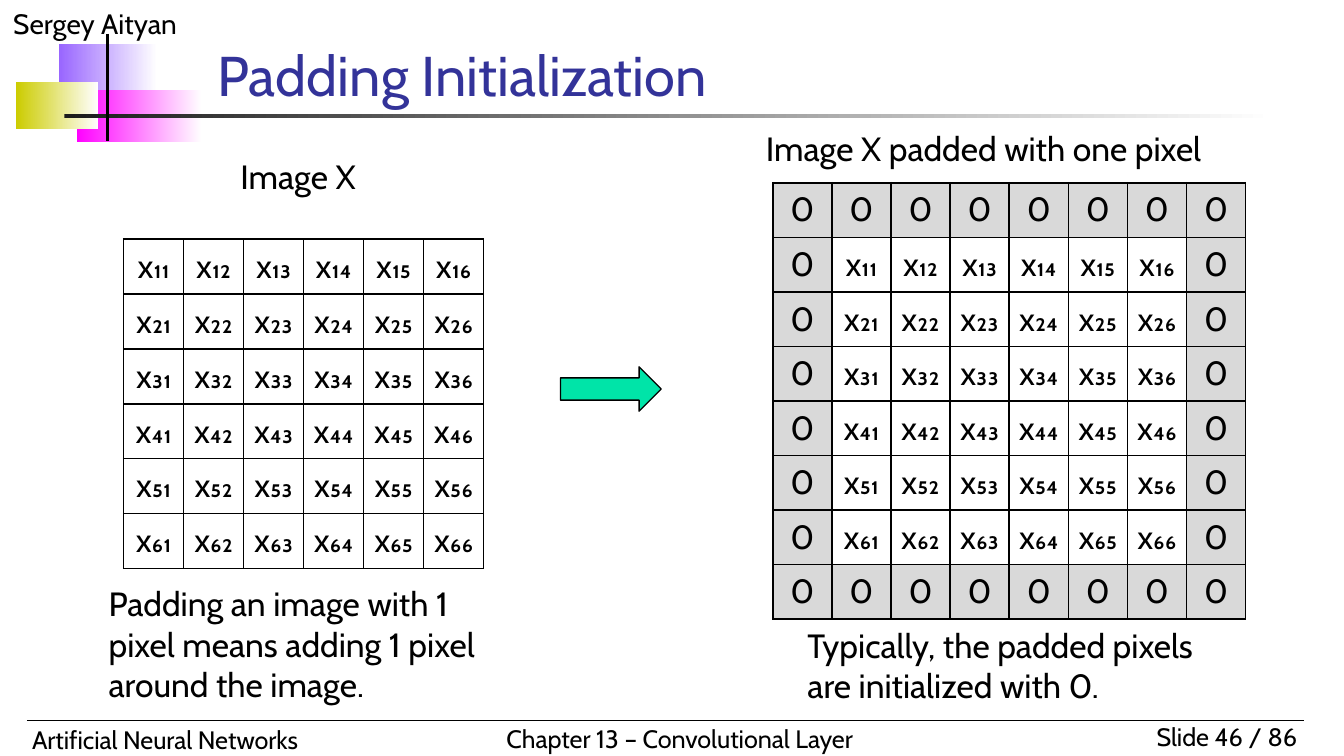
"""Build the slide that compares an image with its zero-padded version."""
import dataclasses

import pptx
import pptx.dml.color
import pptx.enum.shapes
import pptx.enum.text
import pptx.oxml
import pptx.oxml.ns
import pptx.util

Inches = pptx.util.Inches
Pt = pptx.util.Pt
ALIGN = pptx.enum.text.PP_ALIGN
SHAPE = pptx.enum.shapes.MSO_SHAPE
FONT = "Cabin"
BLACK = "000000"
PAD_FILL = "D9D9D9"
SUBSCRIPTS = "₁₂₃₄₅₆"


@dataclasses.dataclass
class Band:
    left: float
    top: float
    width: float
    height: float
    color: str


@dataclasses.dataclass
class Label:
    left: float
    top: float
    width: float
    height: float
    text: str
    size: float = 18
    align: ALIGN = ALIGN.LEFT
    wrap: bool = True


@dataclasses.dataclass
class Grid:
    left: float
    top: float
    width: float
    height: float
    rows: list


BANDS = [
    Band(0.44, 0.33, 0.73, 0.39, "9966FF"),
    Band(0.57, 0.67, 0.93, 0.39, "FF00FF"),
    Band(0.12, 0.61, 0.61, 0.35, "CCCC00"),
    Band(0.48, 0.85, 9, 0.03, "1C1C1C"),
]
MASTER_LABELS = [
    Label(0, 0, 2.5, 0.35, "Sergey Aityan", 15),
    Label(8.25, 5.32, 1.5, 0.33, "Slide 46 / 86", 13.5, ALIGN.RIGHT),
    Label(0.14, 5.34, 3.7, 0.33, "Artificial Neural Networks", 13.5),
    Label(3.67, 5.33, 2.99, 0.33, "Chapter 13 – Convolutional Layer", 13.5, wrap=False),
]
BODY_LABELS = [
    Label(1.69, 1.11, 1.25, 0.4, "Image X"),
    Label(5.6, 0.9, 3.83, 0.4, "Image X padded with one pixel"),
    Label(0.71, 4.29, 3.2, 1.01,
          "Padding an image with 1 pixel means adding 1 pixel around the image."),
    Label(5.91, 4.6, 3.2, 0.71, "Typically, the padded pixels are initialized with 0."),
]


def rgb(value: str) -> pptx.dml.color.RGBColor:
    """Turn a hex string into a colour."""
    return pptx.dml.color.RGBColor.from_string(value)


def write(tf, text: str, size: float = 18, color: str = BLACK, align=ALIGN.LEFT) -> None:
    """Put one formatted paragraph in a text frame."""
    p = tf.paragraphs[0]
    p.alignment = align
    r = p.add_run()
    r.text = text
    r.font.name = FONT
    r.font.size = Pt(size)
    r.font.color.rgb = rgb(color)


def add_band(s, band: Band) -> None:
    """Draw a rectangle that fades to white on the right."""
    sp = s.shapes.add_shape(SHAPE.RECTANGLE, Inches(band.left), Inches(band.top),
                            Inches(band.width), Inches(band.height))
    sp.shadow.inherit = False
    sp.line.fill.background()
    sp.fill.gradient()
    sp.fill.gradient_angle = 0
    for stop, color, position in zip(sp.fill.gradient_stops, (band.color, "FFFFFF"), (0, 1)):
        stop.color.rgb = rgb(color)
        stop.position = position


def add_label(s, label: Label) -> None:
    """Draw a text box."""
    sp = s.shapes.add_textbox(Inches(label.left), Inches(label.top),
                              Inches(label.width), Inches(label.height))
    sp.text_frame.word_wrap = label.wrap
    write(sp.text_frame, label.text, label.size, align=label.align)


def add_line(s, x1: float, y1: float, x2: float, y2: float, width: float) -> None:
    """Draw a straight black line."""
    sp = s.shapes.add_connector(pptx.enum.shapes.MSO_CONNECTOR.STRAIGHT,
                                Inches(x1), Inches(y1), Inches(x2), Inches(y2))
    sp.line.color.rgb = rgb(BLACK)
    sp.line.width = Pt(width)
    sp._element.spPr.append(pptx.oxml.parse_xml(
        f'<a:effectLst {pptx.oxml.ns.nsdecls("a")}/>'))


def add_borders(cell) -> None:
    """Give a cell a thin black line on each side."""
    tcPr = cell._tc.get_or_add_tcPr()
    for side in "LRTB":
        tcPr.append(pptx.oxml.parse_xml(
            f'<a:ln{side} {pptx.oxml.ns.nsdecls("a")} w="{Pt(1)}"><a:solidFill>'
            f'<a:srgbClr val="{BLACK}"/></a:solidFill></a:ln{side}>'))


def add_grid(s, grid: Grid) -> None:
    """Draw a square pixel table with its padding cells shaded."""
    n = len(grid.rows)
    table = s.shapes.add_table(n, n, Inches(grid.left), Inches(grid.top),
                               Inches(grid.width), Inches(grid.height)).table
    table.first_row = table.horz_banding = False
    for i, texts in enumerate(grid.rows):
        for j, text in enumerate(texts):
            cell = table.cell(i, j)
            add_borders(cell)
            if text == "0":
                cell.fill.solid()
                cell.fill.fore_color.rgb = rgb(PAD_FILL)
            else:
                cell.fill.background()
                cell.margin_left = cell.margin_right = 0
            write(cell.text_frame, text, align=ALIGN.CENTER)


def main() -> None:
    """Build and save the slide."""
    prs = pptx.Presentation()
    prs.slide_width = Inches(10)
    prs.slide_height = prs.slide_width * 9 // 16
    s = prs.slides.add_slide(prs.slide_layouts[5])

    for band in BANDS:
        add_band(s, band)
    for label in MASTER_LABELS:
        add_label(s, label)
    add_line(s, 0.2, 5.36, 9.7, 5.36, 0.75)
    add_line(s, 0.8, 0.25, 0.8, 1.05, 2)

    title = s.shapes.title
    title.left, title.top = Inches(1.52), Inches(0.31)
    title.width, title.height = Inches(7.35), Inches(0.54)
    tf = title.text_frame
    tf.auto_size = pptx.enum.text.MSO_AUTO_SIZE.NONE
    tf.vertical_anchor = pptx.enum.text.MSO_ANCHOR.BOTTOM
    write(tf, "Padding Initialization", 30, "333399")

    pixels = [[f"x{row}{col}" for col in SUBSCRIPTS] for row in SUBSCRIPTS]
    zeros = ["0"] * (len(pixels) + 2)
    padded = [zeros, *(["0", *row, "0"] for row in pixels), zeros]
    add_grid(s, Grid(5.75, 1.36, 3.52, 3.25, padded))
    add_grid(s, Grid(0.92, 1.78, 2.68, 2.45, pixels))

    for label in BODY_LABELS:
        add_label(s, label)
    arrow = s.shapes.add_shape(SHAPE.RIGHT_ARROW, Inches(4.17), Inches(2.73),
                               Inches(0.75), Inches(0.33))
    arrow.shadow.inherit = False
    arrow.fill.solid()
    arrow.fill.fore_color.rgb = rgb("00E4A8")
    arrow.line.color.rgb = rgb(BLACK)
    arrow.line.width = Pt(0.75)
    prs.save("out.pptx")


if __name__ == "__main__":
    main()
